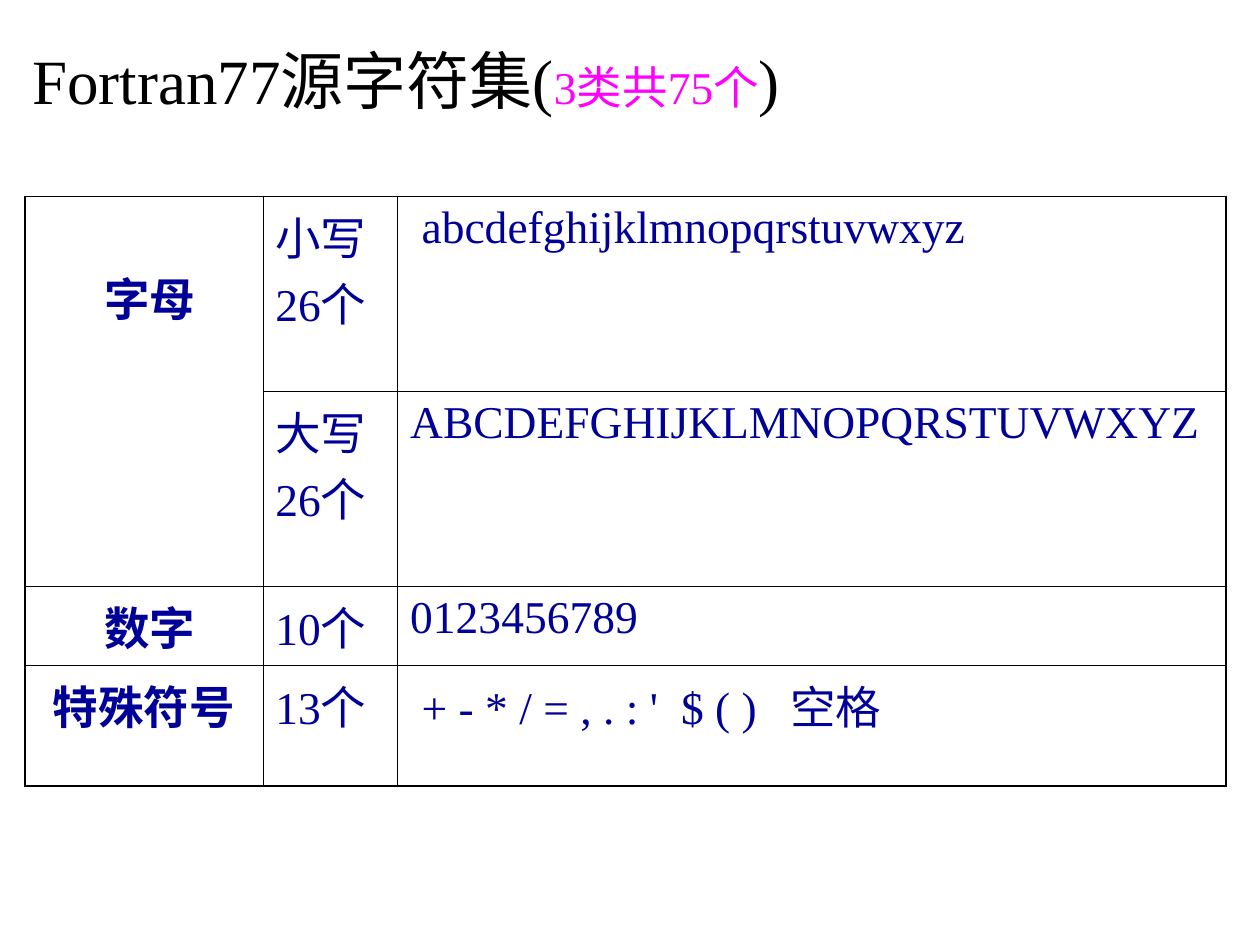
from dataclasses import dataclass
from lxml import etree
from pptx import Presentation
from pptx.dml.color import RGBColor
from pptx.enum.text import MSO_ANCHOR, MSO_AUTO_SIZE, PP_ALIGN
from pptx.oxml.ns import qn
from pptx.util import Cm, Pt

TOP = MSO_ANCHOR.TOP
NO_FIT = MSO_AUTO_SIZE.NONE
LEFT, CENTER = PP_ALIGN.LEFT, PP_ALIGN.CENTER


@dataclass(frozen=True)
class Theme:
    font: str = "Times New Roman"
    black: str = "000000"
    navy: str = "000099"
    magenta: str = "FF00FF"
    title_size: float = 36
    body_size: float = 26
    outer_line: float = 1.08
    inner_line: float = 0.45


@dataclass(frozen=True)
class Entry:
    row: int
    column: int
    text: str
    indent: float = 0.25  # left margin, cm
    top: float = 0.13  # top margin, cm
    tabs: tuple[float, ...] = ()  # tab stops, cm


THEME = Theme()
COLUMN_WIDTHS = (4.8, 2.72, 16.69)
ROW_HEIGHTS = (3.93, 3.93, 1.57, 2.44)
ENTRIES = (
    Entry(0, 0, "字母", indent=0.48, top=1.35),
    Entry(0, 1, "小写 26个"),
    Entry(0, 2, "abcdefghijklmnopqrstuvwxyz", indent=0.48),
    Entry(1, 1, "大写 26个"),
    Entry(1, 2, "ABCDEFGHIJKLMNOPQRSTUVWXYZ"),
    Entry(2, 0, "数字", indent=0.48),
    Entry(2, 1, "10个"),
    Entry(2, 2, "0123456789"),
    Entry(3, 0, "特殊符号"),
    Entry(3, 1, "13个"),
    Entry(3, 2, "+ - * / = , . : '\t$ ( )\t空格", indent=0.48, tabs=(5.23, 7.43)),
)


def add_span(para, text: str, *, size: float, color: str, bold: bool = False) -> None:
    span = para.add_run()
    span.text = text
    span.font.name = THEME.font
    span.font.size = Pt(size)
    span.font.bold = bold
    span.font.color.rgb = RGBColor.from_string(color)


def set_tabs(para, stops: tuple[float, ...]) -> None:
    tab_list = etree.SubElement(para._p.get_or_add_pPr(), qn("a:tabLst"))
    for stop in stops:
        etree.SubElement(tab_list, qn("a:tab"), pos=str(Cm(stop)), algn="l")


def set_borders(cell, row: int, column: int) -> None:
    """Rule the cell, with heavier lines along the outer edge of the table."""
    outer_sides = {
        "a:lnL": column == 0,
        "a:lnR": column == len(COLUMN_WIDTHS) - 1,
        "a:lnT": row == 0,
        "a:lnB": row == len(ROW_HEIGHTS) - 1,
    }
    properties = cell._tc.get_or_add_tcPr()
    for position, (side, outer) in enumerate(outer_sides.items()):
        width = Pt(THEME.outer_line if outer else THEME.inner_line)
        line = etree.Element(qn(side), w=str(width))
        fill = etree.SubElement(line, qn("a:solidFill"))
        etree.SubElement(fill, qn("a:srgbClr"), val=THEME.black)
        properties.insert(position, line)


def fill_entry(table, entry: Entry) -> None:
    cell = table.cell(entry.row, entry.column)
    cell.margin_left, cell.margin_right = Cm(entry.indent), Cm(0.25)
    cell.margin_top, cell.margin_bottom = Cm(entry.top), Cm(0.13)
    cell.vertical_anchor = TOP
    heading = entry.column == 0
    para = cell.text_frame.paragraphs[0]
    para.alignment = CENTER if heading else LEFT
    if entry.tabs:
        set_tabs(para, entry.tabs)
    add_span(para, entry.text, size=THEME.body_size, color=THEME.navy, bold=heading)


def add_title(page) -> None:
    title = page.shapes.title
    title.left, title.top, title.width, title.height = Cm(0.4), Cm(0.7), Cm(24.9), Cm(3.18)
    frame = title.text_frame
    frame.auto_size = NO_FIT
    frame.word_wrap = True
    frame.vertical_anchor = TOP
    para = frame.paragraphs[0]
    para.alignment = LEFT
    add_span(para, "Fortran77源字符集(", size=THEME.title_size, color=THEME.black)
    add_span(para, "3类共75个", size=THEME.body_size, color=THEME.magenta)
    add_span(para, ")", size=THEME.title_size, color=THEME.black)


def add_character_table(page) -> None:
    table = page.shapes.add_table(
        len(ROW_HEIGHTS), len(COLUMN_WIDTHS), Cm(0.5), Cm(3.96),
        Cm(sum(COLUMN_WIDTHS)), Cm(sum(ROW_HEIGHTS)),
    ).table
    table.first_row = table.horz_banding = False
    for column, width in zip(table.columns, COLUMN_WIDTHS):
        column.width = Cm(width)
    for row, height in zip(table.rows, ROW_HEIGHTS):
        row.height = Cm(height)

    # Plain ruled cells, with the letters heading over two rows
    for row in range(len(ROW_HEIGHTS)):
        for column in range(len(COLUMN_WIDTHS)):
            cell = table.cell(row, column)
            cell.fill.background()
            set_borders(cell, row, column)
    table.cell(0, 0).merge(table.cell(1, 0))
    for entry in ENTRIES:
        fill_entry(table, entry)


def main() -> None:
    deck = Presentation()
    deck.slide_width, deck.slide_height = Cm(25.4), Cm(19.05)
    page = deck.slides.add_slide(deck.slide_layouts.get_by_name("Title Only"))
    add_title(page)
    add_character_table(page)
    deck.save("out.pptx")


if __name__ == "__main__":
    main()
